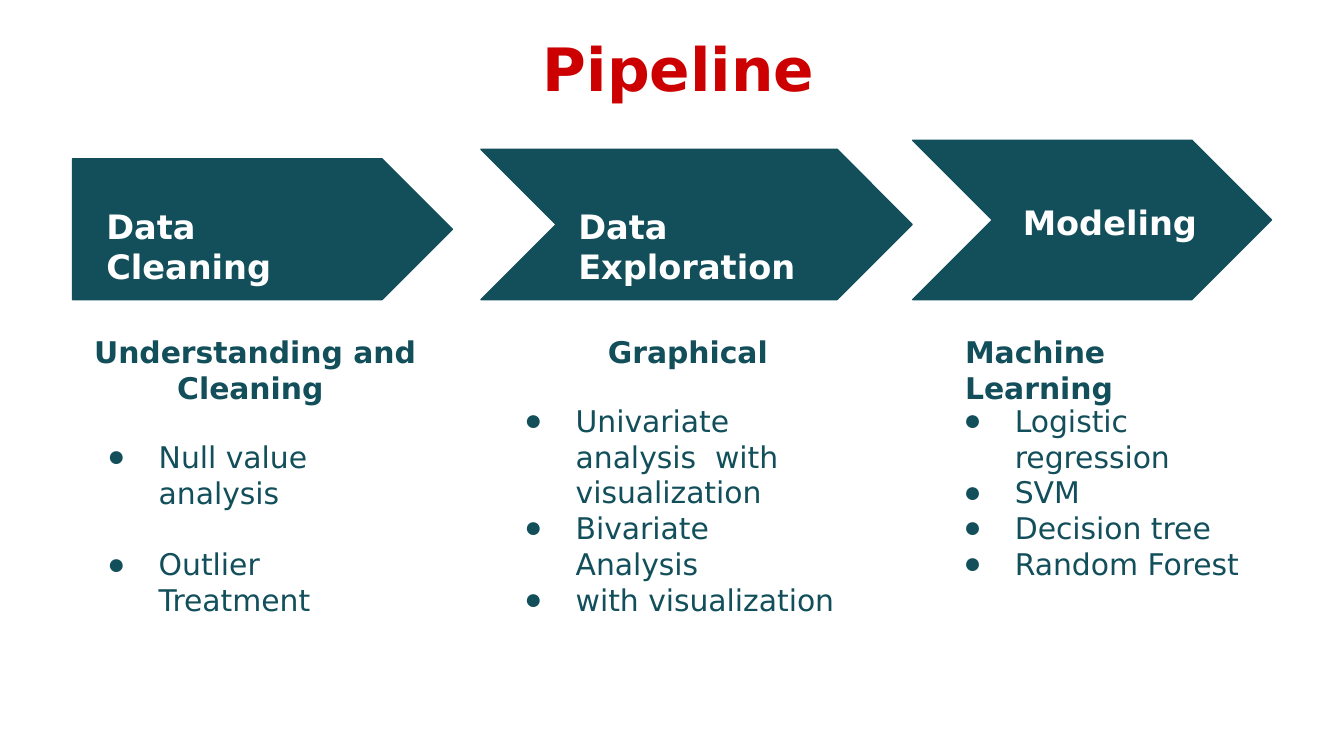
from dataclasses import dataclass

from lxml import etree
from pptx import Presentation
from pptx.dml.color import RGBColor
from pptx.enum import shapes, text
from pptx.oxml import ns
from pptx.util import Cm, Pt


@dataclass(frozen=True)
class Theme:
    font: str = "DejaVu Sans"
    teal: str = "124F5B"
    red: str = "CC0000"
    white: str = "FFFFFF"
    title: int = 32
    label: int = 18
    body: int = 16


class Deck:
    """Holds the theme and the current slide and draws each kind of element."""

    def __init__(self, theme, slide):
        self.theme = theme
        self.slide = slide
        self.slots = {p.placeholder_format.idx: p for p in slide.placeholders}

    def place(self, box, x, y, w, h):
        box.left, box.top, box.width, box.height = Cm(x), Cm(y), Cm(w), Cm(h)

    def style(self, box, words, size, color, bold=True):
        frame = box.text_frame
        frame.text = words
        frame.word_wrap = True
        frame.auto_size = text.MSO_AUTO_SIZE.NONE
        frame.vertical_anchor = text.MSO_ANCHOR.TOP
        frame.margin_left = frame.margin_right = frame.margin_bottom = 0
        frame.margin_top = Cm(0.03)
        for para in frame.paragraphs:
            para.alignment = text.PP_ALIGN.LEFT
            para.space_before = Pt(0)
            for run in para.runs:
                run.font.name = self.theme.font
                run.font.size = Pt(size)
                run.font.bold = bold
                run.font.color.rgb = RGBColor.from_string(color)
        return frame.paragraphs

    def hang(self, para, left, first):
        props = para._p.get_or_add_pPr()
        props.set("marL", str(Cm(left)))
        props.set("indent", str(Cm(first)))
        return props

    def title(self, words, x, y, w, h):
        box = self.slide.shapes.title
        self.place(box, x, y, w, h)
        self.style(box, words, self.theme.title, self.theme.red)

    def arrow(self, kind, x, base, w, h):
        item = self.slide.shapes.add_shape(kind, Cm(x), Cm(base - h), Cm(w), Cm(h))
        item.adjustments[0] = 0.5
        item.shadow.inherit = False
        tint = RGBColor.from_string(self.theme.teal)
        item.fill.solid()
        item.fill.fore_color.rgb = tint
        item.line.color.rgb = tint
        item.line.width = Pt(0.75)

    def label(self, words, x, y, w, size, color, left=0.03, first=0):
        box = self.slide.shapes.add_textbox(Cm(x), Cm(y), Cm(w), Cm(0.84))
        for para in self.style(box, words, size, color):
            self.hang(para, left, first)

    def list(self, slot, items, x, y, w, gap=0):
        box = self.slots[slot]
        self.place(box, x, y, w, 3.45)
        paras = self.style(box, "\n".join(items), self.theme.body, self.theme.teal, False)
        for i, para in enumerate(paras):
            para.space_before = Pt(gap if i else 0)
            props = self.hang(para, 1.02, -0.97)
            tint = etree.SubElement(props, ns.qn("a:buClr"))
            etree.SubElement(tint, ns.qn("a:srgbClr"), val=self.theme.teal)
            etree.SubElement(props, ns.qn("a:buChar"), char="●")

    def clear(self):
        for slot in self.slots.values():
            if not slot.text_frame.text:
                slot._element.getparent().remove(slot._element)


def main():
    show = Presentation()
    show.slide_width, show.slide_height = Cm(25.4), Cm(14.28)
    theme = Theme()
    deck = Deck(theme, show.slides.add_slide(show.slide_layouts[4]))

    deck.title("Pipeline", 10.26, 0.56, 7.19, 1.4)

    kinds = shapes.MSO_SHAPE
    for kind, x, w, h in (
        (kinds.PENTAGON, 1.37, 7.18, 2.66),
        (kinds.CHEVRON, 9.09, 8.15, 2.84),
        (kinds.CHEVRON, 17.25, 6.78, 3.01),
    ):
        deck.arrow(kind, x, 5.66, w, h)

    for words, x, y, w in (
        ("Data Cleaning", 1.98, 3.86, 4.8),
        ("Data Exploration", 10.9, 3.86, 5.66),
        ("Modeling", 19.3, 3.78, 4.04),
    ):
        deck.label(words, x, y, w, theme.label, theme.white)

    for words, x, w, left, first in (
        ("Understanding and  Cleaning", 1.75, 7.77, 1.6, -1.57),
        ("Graphical", 11.46, 4.34, 0.03, 0),
        ("Machine Learning", 18.21, 5.38, 0.03, 0),
    ):
        deck.label(words, x, 6.27, w, theme.body, theme.teal, left, first)

    deck.list(1, ("Null value  analysis", "Outlier  Treatment"), 1.98, 8.26, 4.04, 19)
    deck.list(
        2,
        ("Univariate analysis  with visualization", "Bivariate Analysis", "with visualization"),
        9.86, 7.57, 5.94,
    )
    deck.list(
        3,
        ("Logistic  regression", "SVM", "Decision tree", "Random Forest"),
        18.16, 7.57, 5.41,
    )
    deck.clear()
    show.save("out.pptx")


if __name__ == "__main__":
    main()
